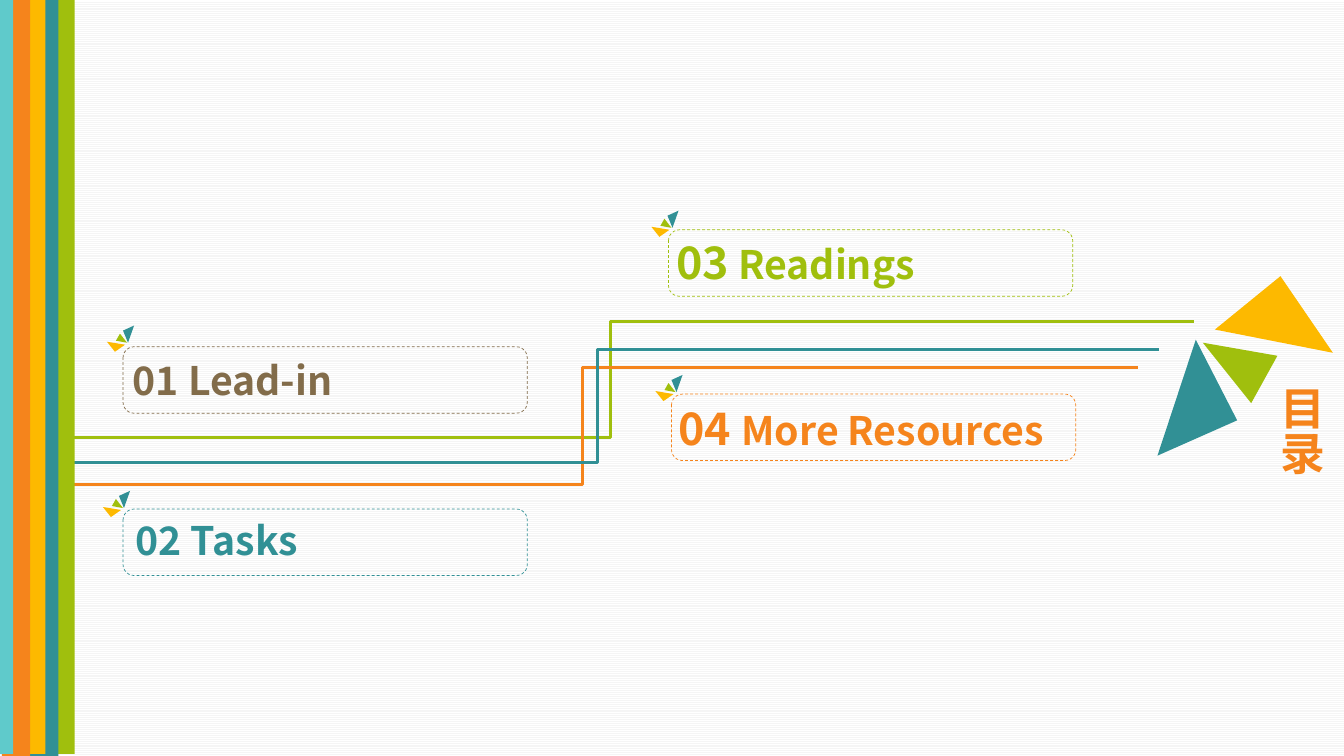
from lxml import etree
from pptx import Presentation
from pptx.dml.color import RGBColor
from pptx.enum.dml import MSO_LINE, MSO_PATTERN
from pptx.enum.shapes import MSO_CONNECTOR, MSO_SHAPE
from pptx.enum.text import MSO_AUTO_SIZE, PP_ALIGN
from pptx.oxml.ns import qn
from pptx.util import Inches, Pt

ELBOW = MSO_CONNECTOR.ELBOW
RECT, ROUNDED = MSO_SHAPE.RECTANGLE, MSO_SHAPE.ROUNDED_RECTANGLE
DASH = MSO_LINE.DASH
LIGHT_HORIZONTAL = MSO_PATTERN.LIGHT_HORIZONTAL
FIT, CENTER = MSO_AUTO_SIZE.SHAPE_TO_FIT_TEXT, PP_ALIGN.CENTER

THEME = {
    "green": RGBColor.from_string("A0BF0D"),
    "teal": RGBColor.from_string("319095"),
    "yellow": RGBColor.from_string("FDB900"),
    "orange": RGBColor.from_string("F5841C"),
    "aqua": RGBColor.from_string("5FCACB"),
    "brown": RGBColor.from_string("826C4A"),
    "stripe": RGBColor.from_string("F5F5F5"),
    "paper": RGBColor.from_string("FFFFFF"),
    "font": "Noto Sans CJK SC",
    "large": Pt(32),
    "medium": Pt(28),
}
WIDTH, HEIGHT = 13.33, 7.5

prs = Presentation()
prs.slide_width, prs.slide_height = Inches(WIDTH), Inches(HEIGHT)
slide = prs.slides.add_slide(prs.slide_layouts[6])
backdrop = slide.background.fill
backdrop.patterned()
backdrop.pattern = LIGHT_HORIZONTAL
backdrop.fore_color.rgb = THEME["stripe"]
backdrop.back_color.rgb = THEME["paper"]


def add_label(box, pieces, color):
    """Add an unwrapped bold text box; pieces are (text, size name) pairs."""
    label = slide.shapes.add_textbox(*map(Inches, box))
    frame = label.text_frame
    frame.word_wrap, frame.auto_size = False, FIT
    for text, size in pieces:
        run = frame.paragraphs[0].add_run()
        run.text = text
        run.font.name, run.font.size, run.font.bold = THEME["font"], THEME[size], True
        run.font.color.rgb = THEME[color]
        east_asian = etree.SubElement(run.font._element, qn("a:ea"))
        east_asian.set("typeface", THEME["font"])
    return frame


def add_triangles(triangles, left=0, top=0):
    """Draw colour-named triangles, shifted by left and top."""
    for color, corners in triangles.items():
        points = [(Inches(left + x), Inches(top + y)) for x, y in corners]
        builder = slide.shapes.build_freeform(*points[0])
        builder.add_line_segments(points[1:], close=True)
        triangle = builder.convert_to_shape()
        triangle.shadow.inherit = False
        triangle.fill.solid()
        triangle.fill.fore_color.rgb = THEME[color]
        triangle.line.fill.background()


# Stepped paths: colour, start height, knee, end x, end height
PATH_START = 0.27
for color, start_y, knee, end_x, end_y in [
    ("green", 4.34, 6.06, 11.84, 3.19),
    ("orange", 4.81, 5.78, 11.29, 3.65),
    ("teal", 4.59, 5.93, 11.5, 3.47),
]:
    path_line = slide.shapes.add_connector(
        ELBOW, *map(Inches, (PATH_START, start_y, end_x, end_y)))
    path_line.line.color.rgb = THEME[color]
    path_line.line.width = Pt(2.25)
    properties = path_line._element.spPr
    etree.SubElement(properties, qn("a:effectLst"))
    knee_share = round((knee - PATH_START) / (end_x - PATH_START) * 100000)
    guide = etree.SubElement(properties.find(".//" + qn("a:avLst")), qn("a:gd"))
    guide.set("name", "adj1")
    guide.set("fmla", f"val {knee_share}")

add_triangles({
    "teal": [(11.48, 4.52), (11.86, 3.37), (12.27, 4.17)],
    "green": [(12.67, 3.53), (11.93, 3.4), (12.41, 4)],
    "yellow": [(12.7, 2.74), (12.05, 3.27), (13.22, 3.5)],
})

# Stripes overlap, each narrower than the one behind it
for color, left, top, right in [
    ("green", 0, -0.02, 0.74),
    ("teal", 0.02, 0, 0.58),
    ("yellow", 0.02, -0.02, 0.45),
    ("orange", 0.02, 0, 0.3),
    ("aqua", -0.03, -0.02, 0.13),
]:
    stripe = slide.shapes.add_shape(
        RECT, *map(Inches, (left, top, right - left, HEIGHT)))
    stripe.shadow.inherit = False
    stripe.fill.solid()
    stripe.fill.fore_color.rgb = THEME[color]
    stripe.line.fill.background()

# Contents entries: colour, frame corner, label box, text pieces, pinwheel corner
PINWHEEL = {
    "teal": [(0.27, 0), (0.21, 0.17), (0.16, 0.05)],
    "green": [(0.09, 0.15), (0.2, 0.17), (0.13, 0.08)],
    "yellow": [(0.08, 0.26), (0.18, 0.19), (0, 0.16)],
}
for color, corner, label_box, pieces, pinwheel_corner in [
    ("brown", (1.22, 3.44), (1.22, 3.49, 2.25, 0.57),
     [("01 Lead-in", "medium")], (1.06, 3.23)),
    ("teal", (1.22, 5.05), (1.25, 5.07, 1.84, 0.57),
     [("02 Tasks", "medium")], (1.02, 4.87)),
    ("green", (6.63, 2.28), (6.61, 2.28, 2.65, 0.64),
     [("03", "large"), (" Readings", "medium")], (6.46, 2.09)),
    ("orange", (6.66, 3.91), (6.63, 3.93, 4.01, 0.64),
     [("04 ", "large"), ("More Resources", "medium")], (6.5, 3.72)),
]:
    entry = slide.shapes.add_shape(ROUNDED, *map(Inches, (*corner, 4.01, 0.66)))
    entry.shadow.inherit = False
    entry.fill.background()
    entry.line.color.rgb = THEME[color]
    entry.line.width, entry.line.dash_style = Pt(0.5), DASH
    add_label(label_box, pieces, color)
    add_triangles(PINWHEEL, *pinwheel_corner)

title = add_label((12.48, 3.73, 0.74, 1), [("目录", "large")], "orange")
title.paragraphs[0].alignment = CENTER
title._txBody.bodyPr.set("vert", "eaVert")

prs.save("out.pptx")
